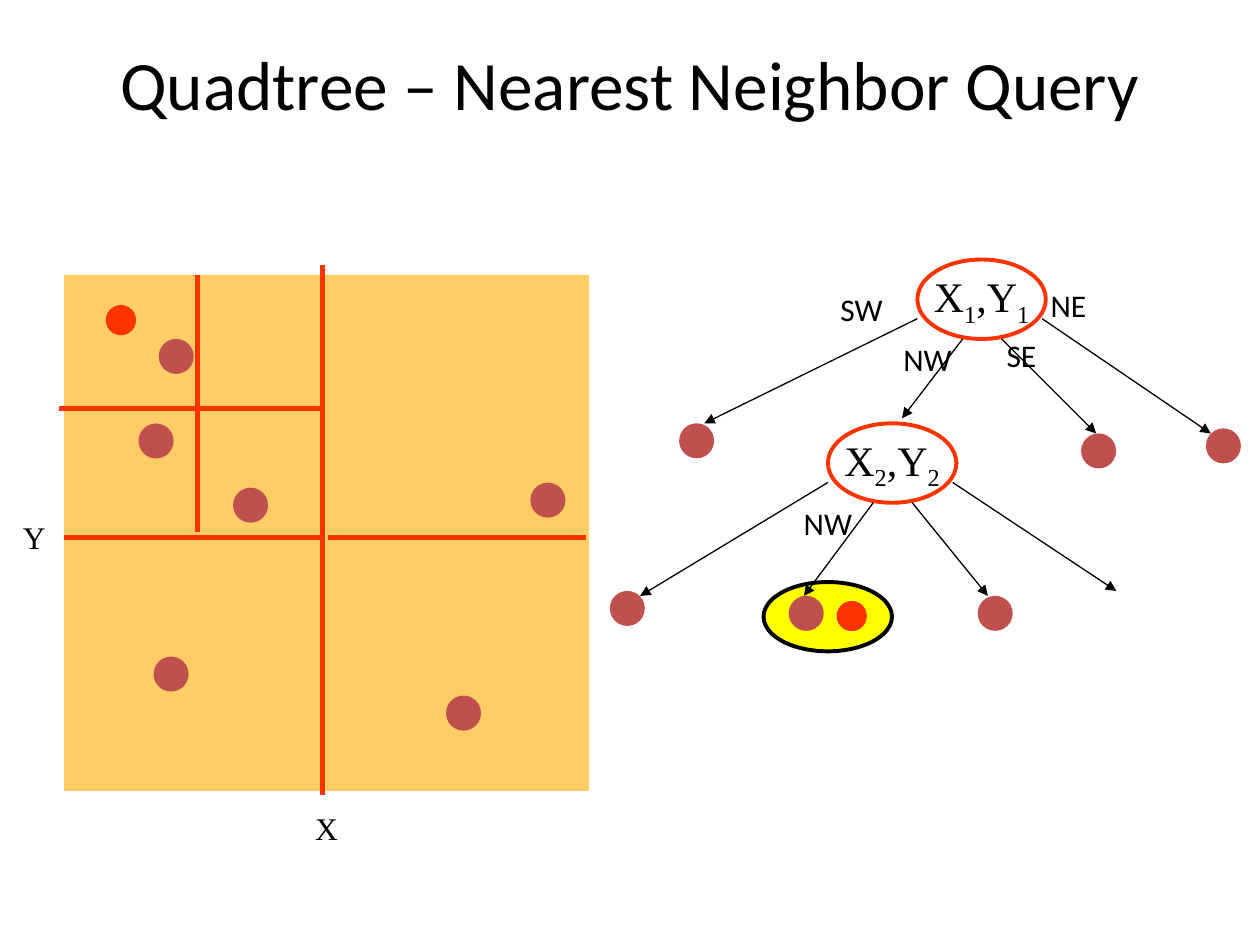
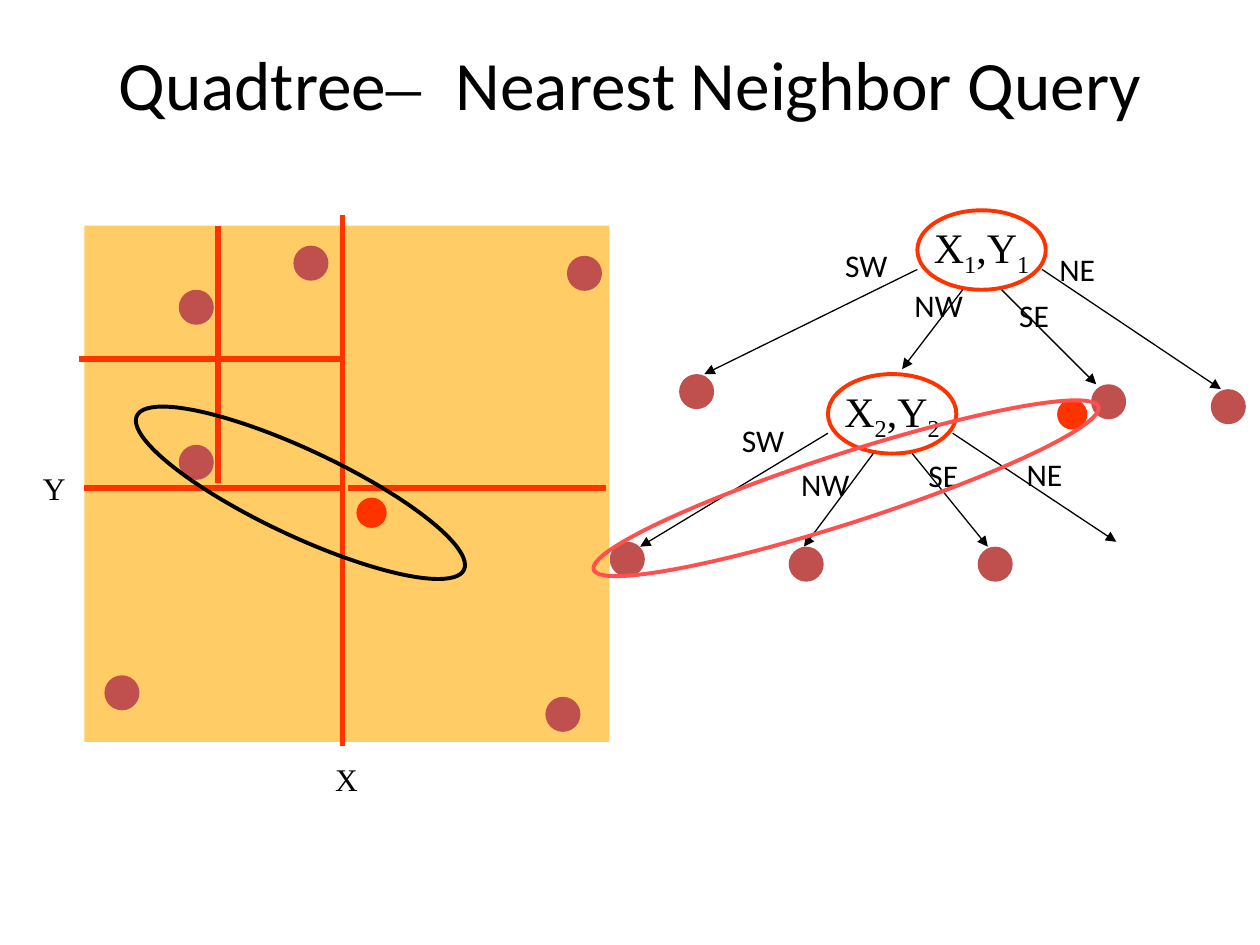
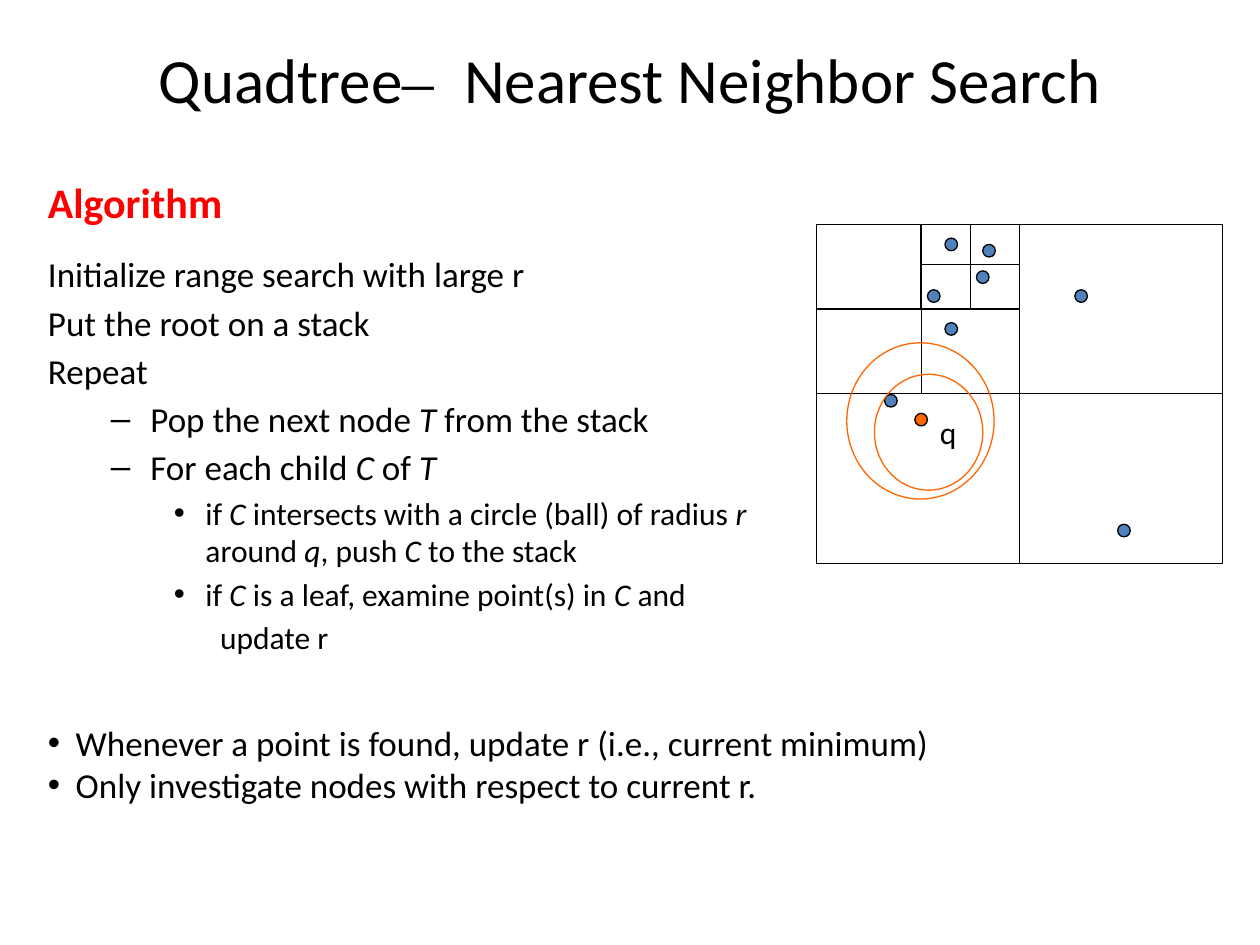
from dataclasses import dataclass

from lxml import etree
from pptx import Presentation
from pptx.dml.color import RGBColor
from pptx.enum import shapes, text
from pptx.oxml import ns
from pptx.util import Pt


@dataclass(frozen=True)
class Theme:
    ink: str = "000000"
    map_fill: str = "FFCC66"
    split: str = "FF3300"
    point: str = "C0504D"
    highlight: str = "FFFF00"
    match: str = "FF5050"
    heading: str = "FF0000"
    site: str = "4F81BD"
    query: str = "FF6600"
    sans: str = "Calibri"
    serif: str = "Times New Roman"
    title_size: float = 39.6
    search_title_size: float = 36
    node_size: float = 24
    heading_size: float = 24
    text_size: float = 20
    label_size: float = 18
    thin: float = 0.75
    outline: float = 2.25
    thick: float = 3


THEME = Theme()
ELLIPSE = shapes.MSO_SHAPE.OVAL
RECTANGLE = shapes.MSO_SHAPE.RECTANGLE
CONNECTOR_DOT = shapes.MSO_SHAPE.FLOWCHART_CONNECTOR
POINT, QUERY, SITE = 20, 17.3, 7.2  # dot diameters
NODE_WIDTH, NODE_HEIGHT = 73.4, 45.4

# Where the four edges leave a node, relative to its top left corner
EDGE_STARTS = {"SW": (0, 33.8), "NW": (25.9, 45.4),
               "SE": (48.2, 45.4), "NE": (71.3, 33.8)}


# Shared drawing helpers
def style_font(font, size, face=THEME.sans, color=THEME.ink, bold=None):
    font.size, font.name, font.bold = Pt(size), face, bold
    font.color.rgb = RGBColor.from_string(color)


def add_outline(page, kind, left, top, width, height, fill=None, line=None,
                weight=THEME.thin, turn=0):
    shape = page.shapes.add_shape(kind, Pt(left), Pt(top), Pt(width), Pt(height))
    shape.shadow.inherit = False
    shape.rotation = turn
    if fill:
        shape.fill.solid()
        shape.fill.fore_color.rgb = RGBColor.from_string(fill)
    else:
        shape.fill.background()
    if line:
        shape.line.color.rgb = RGBColor.from_string(line)
        shape.line.width = Pt(weight)
    else:
        shape.line.fill.background()
    return shape


def add_line(page, start, end, color=THEME.ink, weight=THEME.thin, arrow=False):
    line = page.shapes.add_connector(shapes.MSO_CONNECTOR.STRAIGHT,
                                     *(Pt(value) for value in (*start, *end)))
    line.line.color.rgb = RGBColor.from_string(color)
    line.line.width = Pt(weight)
    if arrow:
        etree.SubElement(line.line._get_or_add_ln(), ns.qn("a:tailEnd"), type="triangle")
    etree.SubElement(line._element.spPr, ns.qn("a:effectLst"))


def add_label(page, words, left, top, width=44, face=THEME.sans, align=text.PP_ALIGN.LEFT):
    box = page.shapes.add_textbox(Pt(left), Pt(top), Pt(width), Pt(28.8))
    box.text_frame.word_wrap = False
    para = box.text_frame.paragraphs[0]
    para.text, para.alignment = words, align
    style_font(para.font, THEME.label_size, face)


def set_bullet(para, mark, margin, indent):
    properties = para._p.get_or_add_pPr()
    properties.set("marL", str(Pt(margin)))
    properties.set("indent", str(Pt(indent)))
    if mark:
        etree.SubElement(properties, ns.qn("a:buFont"), typeface="Arial")
        etree.SubElement(properties, ns.qn("a:buChar"), char=mark)
    else:
        etree.SubElement(properties, ns.qn("a:buNone"))


def place(holder, left, top, width, height):
    holder.left, holder.top, holder.width, holder.height = (
        Pt(value) for value in (left, top, width, height))
    holder.text_frame.word_wrap = True
    holder.text_frame.auto_size = text.MSO_AUTO_SIZE.NONE


def set_title(page, pieces, top=2.5, size=THEME.title_size):
    """Pieces alternate between the sans and the serif face."""
    title = page.shapes.title
    place(title, 36, top, 648, 90)
    title.text_frame.vertical_anchor = text.MSO_ANCHOR.MIDDLE
    para = title.text_frame.paragraphs[0]
    para.alignment = text.PP_ALIGN.CENTER
    style_font(para.font, size)
    for index, piece in enumerate(pieces):
        span = para.add_run()
        span.text = piece
        if index % 2:
            span.font.name = THEME.serif


# Map of a plane split into quadrants
def draw_map(page, left, top, points, query):
    width, height = 300, 295
    middle_x, middle_y, inner = 147.6, 150, 76.3
    add_outline(page, RECTANGLE, left, top, width, height, THEME.map_fill)
    for x, y in points:
        add_outline(page, ELLIPSE, left + x, top + y, POINT, POINT, THEME.point)
    splits = [
        (middle_x, -5.8, middle_x, 297.4),
        (0, middle_y, middle_x, middle_y),
        (inner, 0, inner, 147),
        (-2.9, inner, middle_x, inner),
        (150.5, middle_y, 298, middle_y),
    ]
    for x1, y1, x2, y2 in splits:
        add_line(page, (left + x1, top + y1), (left + x2, top + y2),
                 THEME.split, THEME.thick)
    for name, x, y in (("X", 136, 302), ("Y", -31, 135.4)):
        add_label(page, name, left + x, top + y, 27.4, THEME.serif, text.PP_ALIGN.RIGHT)
    add_outline(page, ELLIPSE, left + query[0], top + query[1], QUERY, QUERY, THEME.split)


# Quadtree with two inner nodes
def draw_node(page, left, top, number, targets, origin):
    node = add_outline(page, ELLIPSE, left, top, NODE_WIDTH, NODE_HEIGHT,
                       line=THEME.split, weight=THEME.outline)
    node.text_frame.word_wrap = False
    node.text_frame.vertical_anchor = text.MSO_ANCHOR.MIDDLE
    para = node.text_frame.paragraphs[0]
    para.alignment = text.PP_ALIGN.CENTER
    style_font(para.font, THEME.node_size, THEME.serif)
    for piece in ("X", number, ",Y", number):
        span = para.add_run()
        span.text = piece
        if piece == number:
            span._r.get_or_add_rPr().set("baseline", "-25000")
    for corner, (x, y) in targets.items():
        start_x, start_y = EDGE_STARTS[corner]
        add_line(page, (left + start_x, top + start_y), (origin[0] + x, origin[1] + y),
                 arrow=True)


def draw_tree(page, left, top, east_tip, east_leaves, query, labels):
    origin = (left, top)
    draw_node(page, left + 175.7, top, "1",
              {"SW": (54, 93.6), "NW": (167, 90.7), "SE": (277.9, 99.4), "NE": east_tip},
              origin)
    draw_node(page, left + 124.6, top + 93.6, "2",
              {"SW": (17.3, 192.2), "NW": (110.9, 192.2),
               "SE": (216, 192.2), "NE": (289.4, 189.4)}, origin)
    leaves = [(39.6, 93.6), *east_leaves, (0, 189.4), (102.2, 192.2), (210.2, 192.2)]
    for x, y in leaves:
        add_outline(page, ELLIPSE, left + x, top + y, POINT, POINT, THEME.point)
    add_outline(page, ELLIPSE, left + query[0], top + query[1], QUERY, QUERY, THEME.split)
    for name, x, y in labels:
        add_label(page, name, left + x, top + y)


# Slides
def build_first_query(page):
    set_title(page, ["Quadtree – Nearest Neighbor Query"])
    draw_map(page, 36.7, 157,
             [(51.1, 218.2), (42.5, 85), (54, 36.7), (96.5, 121.7),
              (218.2, 240.5), (266.4, 118.8)], (23.8, 17.3))
    left, top = 348.5, 148.3
    add_outline(page, ELLIPSE, left + 87.8, top + 184.3, NODE_WIDTH, 39.6,
                THEME.highlight, THEME.ink, THEME.outline)
    draw_tree(page, left, top, (343.4, 99.4), [(269.3, 99.4), (340.6, 96.5)],
              (129.6, 195.1),
              [("NW", 103.7, 136.1), ("NW", 160.6, 42.5), ("SE", 219.6, 40.3),
               ("NE", 244.8, 11.5), ("SW", 124.6, 13.7)])


def build_second_query(page):
    set_title(page, ["Quadtree", "–  ", "Nearest Neighbor Query"])
    left, top = 48.2, 128.9
    draw_map(page, left, top,
             [(11.5, 257), (54, 125.3), (54, 36.7), (119.5, 11.5),
              (263.5, 269.3), (275.8, 17.3)], (155.5, 155.5))
    add_outline(page, ELLIPSE, left + 20.2, top + 128.2, 206.6, 49,
                line=THEME.ink, weight=THEME.outline, turn=25.2)
    left, top = 348.5, 120.2
    draw_tree(page, left, top, (349.2, 102.2), [(275, 99.4), (343.4, 102.2)],
              (255.6, 108),
              [("NW", 167, 39.6), ("SW", 127.4, 16.6), ("SE", 226.8, 45.4),
               ("NE", 249.8, 19.4), ("SW", 68.4, 116.6), ("NW", 102.2, 141.8),
               ("SE", 175, 136.8), ("NE", 231.1, 136.1)])
    add_outline(page, ELLIPSE, left - 16.6, top + 139, 303.1, 39.6,
                line=THEME.match, weight=THEME.outline, turn=342.1)


def write_algorithm(holder):
    """Words between asterisks are set in italics."""
    place(holder, 20.2, 61.9, 450, 319.7)
    frame = holder.text_frame
    frame.margin_top = Pt(38.7)
    plain, dash, dot = (None, 27, -27), ("–", 58.5, -22.5), ("•", 90, -18)
    size, small = THEME.text_size, THEME.label_size
    steps = [
        ("Algorithm", 0, plain, THEME.heading_size, 0),
        ("Initialize range search with large r", 0, plain, size, 15),
        ("Put the root on a stack", 0, plain, size, 3.6),
        ("Repeat", 0, plain, size, 3.6),
        ("Pop the next node *T* from the stack", 1, dash, size, 3.6),
        ("For each child *C* of *T*", 1, dash, size, 3.6),
        ("if *C* intersects with a circle (ball) of radius *r* around *q*, "
         "push *C* to the stack", 2, dot, small, 3.2),
        ("if *C* is a leaf, examine point(s) in *C *and", 2, dot, small, 3.2),
        ("update r", 2, (None, 98.3, 0), small, 3.2),
    ]
    for index, (words, level, bullet, font_size, gap) in enumerate(steps):
        para = frame.add_paragraph() if index else frame.paragraphs[0]
        para.level, para.space_before = level, Pt(gap)
        set_bullet(para, *bullet)
        is_heading = index == 0
        style_font(para.font, font_size, bold=is_heading,
                   color=THEME.heading if is_heading else THEME.ink)
        for order, piece in enumerate(words.split("*")):
            if piece:
                span = para.add_run()
                span.text = piece
                if order % 2:
                    span.font.italic = True


def write_remarks(page):
    box = page.shapes.add_textbox(Pt(20.2), Pt(409), Pt(574), Pt(55.4))
    frame = box.text_frame
    frame.word_wrap = True
    frame.text = ("Whenever a point is found, update r (i.e., current minimum)\n"
                  "Only investigate nodes with respect to current r.")
    for para in frame.paragraphs:
        set_bullet(para, "•", 16, -16)
        style_font(para.font, THEME.text_size)


def draw_search(page, left, top):
    width, height = 231.8, 193.7
    half_x, half_y, quarter_x, quarter_y = width / 2, height / 2, 59.8, height / 4
    inner = half_x - quarter_x
    cells = [
        (0, 0, width, height),
        (0, 0, half_x, half_y), (half_x, 0, half_x, half_y), (0, half_y, half_x, half_y),
        (0, 0, quarter_x, quarter_y), (quarter_x, 0, inner, quarter_y),
        (quarter_x, quarter_y, inner, quarter_y),
    ]
    for x, y, cell_width, cell_height in cells:
        add_outline(page, RECTANGLE, left + x, top + y, cell_width, cell_height,
                    line=THEME.ink)
    split_x, split_y = left + quarter_x + inner / 2, top + 23
    add_line(page, (left + quarter_x, split_y), (left + half_x, split_y))
    add_line(page, (split_x, top), (split_x, top + quarter_y))
    sites = [(63.4, 37.4), (172.1, 171.4), (147.6, 37.4), (73.4, 56.2),
             (38.9, 97.2), (95, 11.5), (91.4, 26.6), (73.4, 7.9)]
    dots = [(*site, THEME.site) for site in sites] + [(56.2, 108, THEME.query)]
    for x, y, color in dots:
        add_outline(page, CONNECTOR_DOT, left + x, top + y, SITE, SITE, color, THEME.ink)
    # Shrinking search range around q
    for x, y, range_width, range_height in ((17.3, 67.7, 84.2, 89.3),
                                            (33.1, 85.7, 61.9, 66.2)):
        add_outline(page, ELLIPSE, left + x, top + y, range_width, range_height,
                    line=THEME.query)
    add_label(page, "q", left + 63.4, top + 104.4, 24.5)


def build_search(page):
    set_title(page, ["Quadtree", "– ", " Nearest Neighbor Search"],
              21.6, THEME.search_title_size)
    page.shapes.title.text_frame.margin_bottom = Pt(47.6)
    write_algorithm(page.placeholders[1])
    draw_search(page, 466.6, 128.2)
    write_remarks(page)


def main():
    deck = Presentation()
    deck.slide_width, deck.slide_height = Pt(720), Pt(540)
    title_only, title_and_body = deck.slide_layouts[5], deck.slide_layouts[1]
    for layout, build in ((title_only, build_first_query),
                          (title_only, build_second_query),
                          (title_and_body, build_search)):
        build(deck.slides.add_slide(layout))
    deck.save("out.pptx")


if __name__ == "__main__":
    main()
